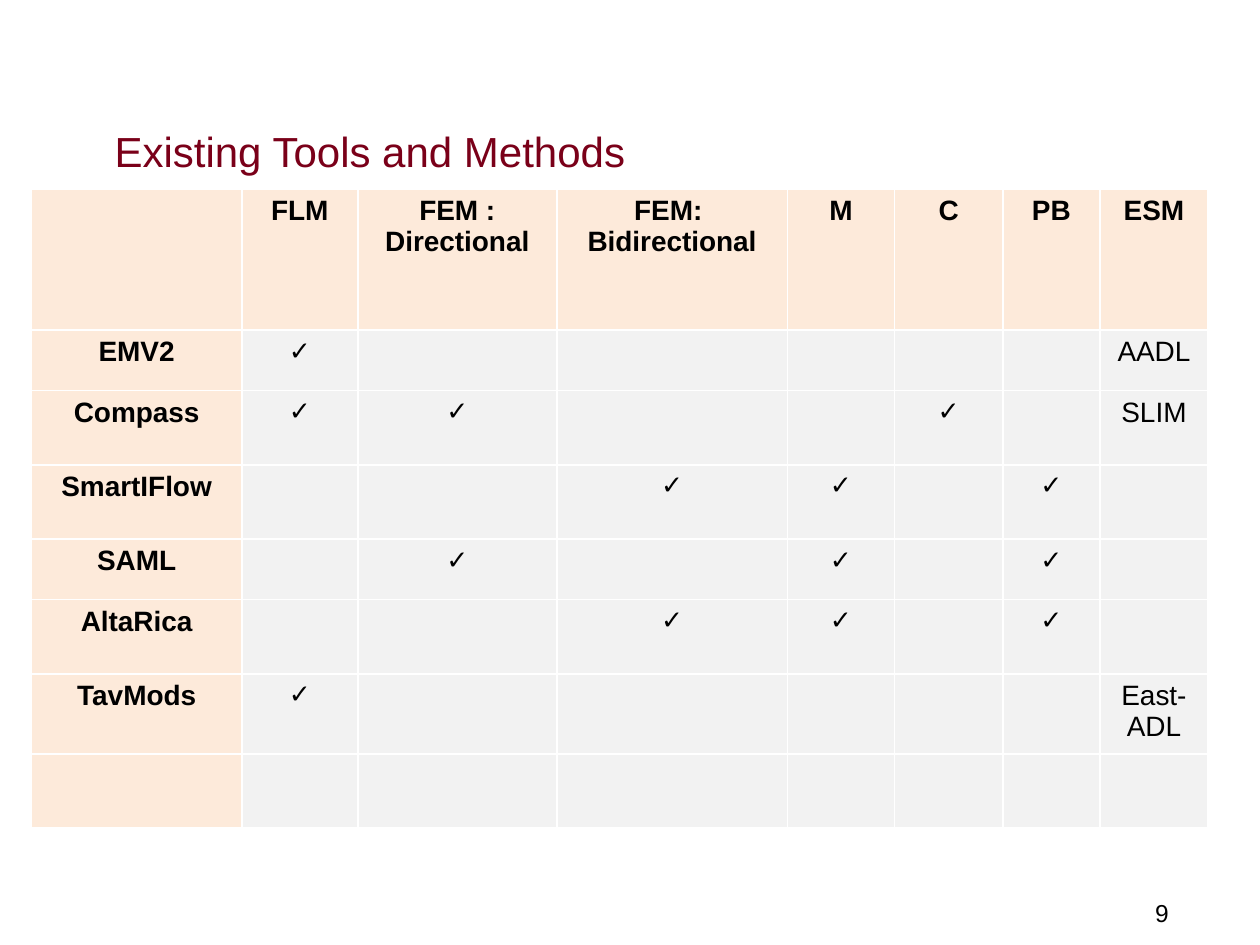
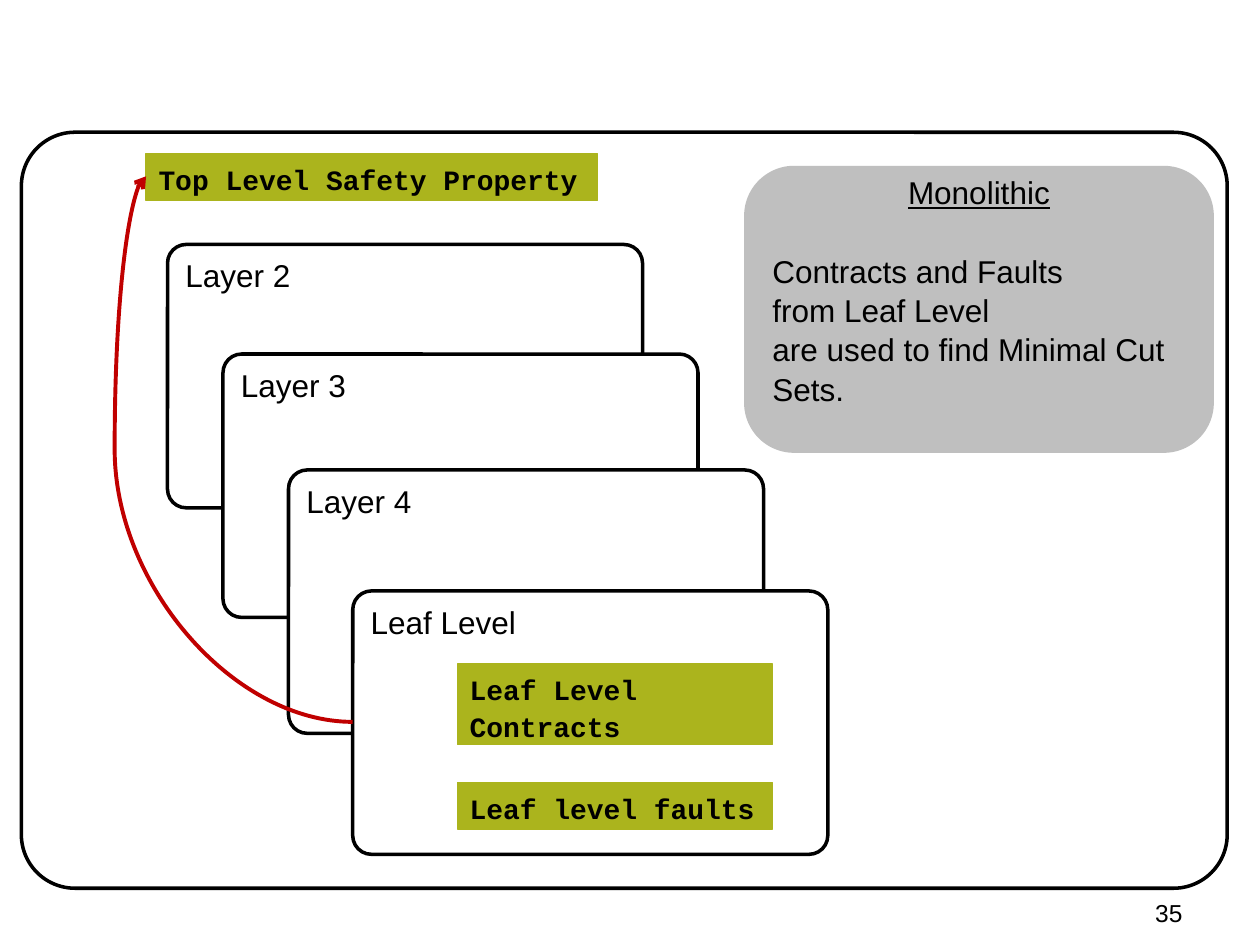
from dataclasses import dataclass

from lxml import etree
from pptx import Presentation
from pptx import util as u
from pptx.dml.color import RGBColor
from pptx.enum import shapes, text
from pptx.oxml.ns import qn

SCALE = 9144  # EMU per px, 100 px to the inch
LEFT, MID = text.PP_ALIGN.LEFT, text.PP_ALIGN.CENTER
TOP, CORE = text.MSO_ANCHOR.TOP, text.MSO_ANCHOR.MIDDLE
RECT = shapes.MSO_SHAPE.RECTANGLE
ROUND = shapes.MSO_SHAPE.ROUNDED_RECTANGLE


@dataclass(frozen=True)
class Theme:
    sans: str = "Arial"
    mono: str = "Courier New"
    ink: str = "000000"
    paper: str = "FFFFFF"
    title: str = "7A0019"
    head: str = "FDEADA"
    cell: str = "F2F2F2"
    tag: str = "ABB41D"
    note: str = "BFBFBF"
    arrow: str = "C00000"
    title_pt: int = 24
    body_pt: int = 18
    label_pt: int = 16
    tick_pt: int = 15
    page_pt: int = 14


T = Theme()


@dataclass(frozen=True)
class Box:
    x: int
    y: int
    w: int
    h: int

    def emu(self) -> tuple:
        return tuple(px(n) for n in (self.x, self.y, self.w, self.h))


@dataclass(frozen=True)
class Font:
    size: int
    name: str = T.sans
    color: str = T.ink
    bold: bool = False


@dataclass(frozen=True)
class Panel:
    """A filled shape; an empty fill leaves it hollow."""
    box: Box
    fill: str
    line: str
    width: float = 2
    kind: int = ROUND
    curve: float = 0.071


@dataclass(frozen=True)
class Layer:
    name: str
    x: int
    y: int


@dataclass(frozen=True)
class Tag:
    words: str
    box: Box
    wrap: bool = False


BODY = Font(T.body_pt)
LABEL = Font(T.label_pt)
BOLD = Font(T.label_pt, bold=True)
TICK = Font(T.tick_pt)
MONO = Font(T.label_pt, T.mono, bold=True)

COLS = (167, 92, 158, 183, 85, 86, 77, 86)
ROWS = (112, 48, 59, 59, 48, 59, 63, 59)
HEADS = ("", "FLM", "FEM : Directional", "FEM: \nBidirectional",
         "M", "C", "PB", "ESM")
# Tool name, columns that carry a tick, system model
TOOLS = (
    ("EMV2", (1,), "AADL"),
    ("Compass", (1, 2, 5), "SLIM"),
    ("SmartIFlow", (3, 4, 6), ""),
    ("SAML", (2, 4, 6), ""),
    ("AltaRica", (3, 4, 6), ""),
    ("TavMods", (1,), "East-ADL"),
    ("", (), ""),
)

LAYERS = (
    Layer("Layer 2", 133, 194),
    Layer("Layer 3", 177, 281),
    Layer("Layer 4", 229, 373),
    Layer("Leaf Level", 280, 469),
)
TAGS = (
    Tag("Top Level Safety Property", Box(116, 122, 358, 37)),
    Tag("Leaf Level\nContracts", Box(363, 527, 250, 64), wrap=True),
    Tag("Leaf level faults", Box(363, 621, 250, 37)),
)
NOTE = ("Monolithic\n\nContracts and Faults\nfrom Leaf Level\n"
        "are used to find Minimal Cut Sets.\n")


def px(n: int) -> u.Emu:
    return u.Emu(n * SCALE)


def rgb(code: str) -> RGBColor:
    return RGBColor.from_string(code)


def write(frame, words: str, font: Font, align=LEFT, gap: float = 1) -> None:
    frame.text = words
    for para in frame.paragraphs:
        para.alignment = align
        para.line_spacing = gap
        para.font.size = u.Pt(font.size)
        for run in para.runs:
            face = run.font
            face.name, face.size = font.name, u.Pt(font.size)
            face.bold = font.bold
            face.color.rgb = rgb(font.color)


def label(slide, box: Box, words: str, font: Font, anchor=TOP):
    frame = slide.shapes.add_textbox(*box.emu()).text_frame
    frame.word_wrap = True
    frame.vertical_anchor = anchor
    write(frame, words, font)
    return frame


def draw(slide, panel: Panel):
    shape = slide.shapes.add_shape(panel.kind, *panel.box.emu())
    shape.shadow.inherit = False
    if panel.kind == ROUND:
        shape.adjustments[0] = panel.curve
    if panel.fill:
        shape.fill.solid()
        shape.fill.fore_color.rgb = rgb(panel.fill)
    else:
        shape.fill.background()
    shape.line.color.rgb = rgb(panel.line)
    shape.line.width = u.Pt(panel.width)
    shape.text_frame.vertical_anchor = TOP
    return shape


def link(slide, start: tuple, end: tuple, bend: int) -> None:
    """Curved arrow; bend is the share of its width, in 1/100000."""
    line = slide.shapes.add_connector(
        shapes.MSO_CONNECTOR.CURVE, *(px(n) for n in start + end))
    line.line.color.rgb = rgb(T.arrow)
    line.line.width = u.Pt(2.25)
    props = line.element.spPr
    guides = props.find(qn("a:prstGeom")).find(qn("a:avLst"))
    etree.SubElement(guides, qn("a:gd"), name="adj1", fmla=f"val {bend}")
    etree.SubElement(props.find(qn("a:ln")), qn("a:tailEnd"), type="arrow")
    etree.SubElement(props, qn("a:effectLst"))


def start(deck, page: int):
    """Add a blank slide with its page number."""
    slide = deck.slides.add_slide(deck.slide_layouts[6])
    label(slide, Box(907, 708, 93, 27), str(page), Font(T.page_pt))
    return slide


def title(slide, words: str) -> None:
    font = Font(T.title_pt, color=T.title)
    frame = label(slide, Box(83, 92, 850, 55), words, font, CORE)
    frame.margin_left = frame.margin_right = px(8)
    frame.margin_top = frame.margin_bottom = px(4)


def grid(slide) -> None:
    box = Box(25, 150, sum(COLS), sum(ROWS))
    table = slide.shapes.add_table(len(ROWS), len(COLS), *box.emu()).table
    for col, wide in zip(table.columns, COLS):
        col.width = px(wide)
    for row, high in zip(table.rows, ROWS):
        row.height = px(high)

    lines = [HEADS]
    for name, ticks, model in TOOLS:
        marks = ["✓" if c in ticks else "" for c in range(1, 7)]
        lines.append((name, *marks, model))
    for r, line in enumerate(lines):
        for c, words in enumerate(line):
            edge = r == 0 or c == 0
            cell = table.cell(r, c)
            cell.fill.solid()
            cell.fill.fore_color.rgb = rgb(T.head if edge else T.cell)
            font = BOLD if edge else TICK if words == "✓" else LABEL
            write(cell.text_frame, words, font, MID)


def tools(deck) -> None:
    slide = start(deck, 9)
    title(slide, "Existing Tools and Methods")
    grid(slide)


def layers(deck) -> None:
    slide = start(deck, 35)
    draw(slide, Panel(Box(17, 105, 957, 600), "", T.ink))
    for layer in LAYERS:
        box = Box(layer.x, layer.y, 377, 209)
        shape = draw(slide, Panel(box, T.paper, T.ink))
        write(shape.text_frame, layer.name, BODY)
    for tag in TAGS:
        shape = draw(slide, Panel(tag.box, T.tag, T.tag, 0.75, RECT))
        shape.text_frame.word_wrap = tag.wrap
        write(shape.text_frame, tag.words, MONO, gap=1.08)

    note = draw(slide, Panel(Box(592, 133, 370, 225), T.note, T.note,
                             curve=0.17)).text_frame
    note.vertical_anchor = CORE
    write(note, NOTE, BODY, gap=1.04)
    head = note.paragraphs[0]
    head.alignment = MID
    head.runs[0].font.underline = True
    link(slide, (280, 573), (116, 140), 115200)


def main() -> None:
    deck = Presentation()
    deck.slide_width, deck.slide_height = px(1000), px(750)
    tools(deck)
    layers(deck)
    deck.save("out.pptx")


if __name__ == "__main__":
    main()
